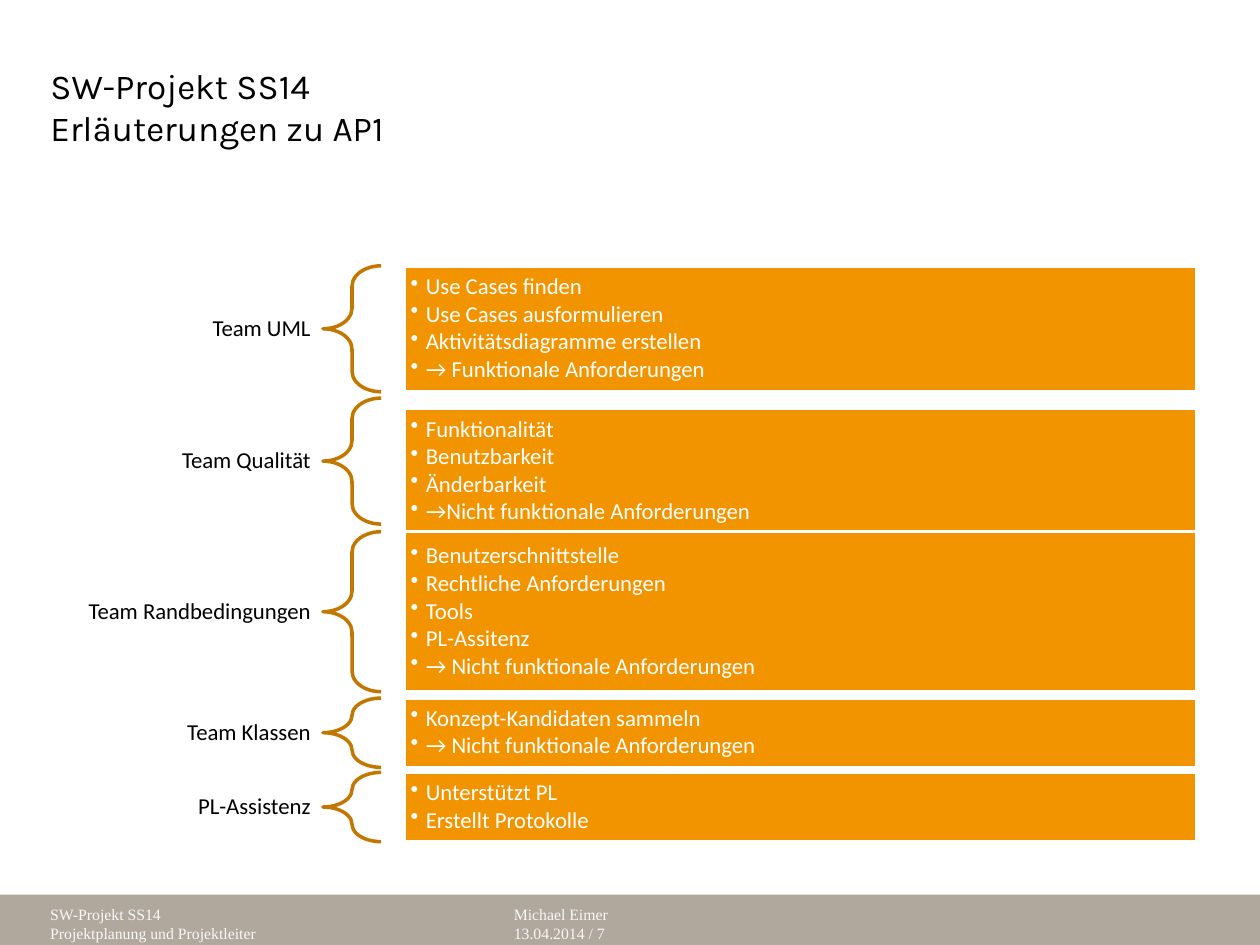
import pptx
import pptx.util
import pptx.dml.color
import pptx.enum.shapes
import pptx.enum.text
import pptx.oxml
import pptx.oxml.ns

Inches, Pt = pptx.util.Inches, pptx.util.Pt
Shape = pptx.enum.shapes.MSO_SHAPE
Align = pptx.enum.text.PP_ALIGN
Anchor = pptx.enum.text.MSO_ANCHOR

COLORS = {"text": "000000", "box": "F29400", "brace": "C27700",
          "bar": "B0A79D", "foot": "F8F8F8", "white": "FFFFFF"}

# label, top, height, tasks
TEAMS = [
    ("Team UML", 2.11, 1, 0, ["Use Cases finden", "Use Cases ausformulieren",
     "Aktivitätsdiagramme erstellen", "→ Funktionale Anforderungen"]),
    ("Team Qualität", 3.16, 1, 0.08, ["Funktionalität", "Benutzbarkeit",
     "Änderbarkeit", "→Nicht funktionale Anforderungen"]),
    ("Team Randbedingungen", 4.22, 1.27, 0, ["Benutzerschnittstelle",
     "Rechtliche Anforderungen", "Tools", "PL-Assitenz",
     "→ Nicht funktionale Anforderungen"]),
    ("Team Klassen", 5.54, 0.55, 0, ["Konzept-Kandidaten sammeln",
     "→ Nicht funktionale Anforderungen"]),
    ("PL-Assistenz", 6.13, 0.55, 0, ["Unterstützt PL", "Erstellt Protokolle"]),
]


def color(name):
    return pptx.dml.color.RGBColor.from_string(COLORS[name])


def add_shape(slide, kind, box, fill=None, line=None):
    shape = slide.shapes.add_shape(kind, *map(Inches, box))
    shape.shadow.inherit = False
    if fill:
        shape.fill.solid()
        shape.fill.fore_color.rgb = color(fill)
    else:
        shape.fill.background()
    if line:
        shape.line.color.rgb = color(line)
        shape.line.width = Pt(2)
    else:
        shape.line.fill.background()
    return shape


def set_text(frame, lines, font, size, tone, align=Align.LEFT,
             anchor=Anchor.TOP, inset=(0.1, 0.05), space=1, after=0):
    frame.word_wrap = True
    frame.auto_size = pptx.enum.text.MSO_AUTO_SIZE.NONE
    frame.vertical_anchor = anchor
    frame.margin_left = frame.margin_right = Inches(inset[0])
    frame.margin_top = frame.margin_bottom = Inches(inset[1])
    frame.text = "\n".join(lines)
    for para in frame.paragraphs:
        para.alignment = align
        para.line_spacing = space
        para.space_after = Pt(after)
        para.font.name = font
        para.font.size = Pt(size)
        para.font.color.rgb = color(tone)


def add_bullet(para, indent):
    props = para._p.get_or_add_pPr()
    props.set("marL", str(Inches(indent)))
    props.set("indent", str(-Inches(indent)))
    bullet = pptx.oxml.parse_xml(
        f'<a:buChar {pptx.oxml.ns.nsdecls("a")} char="•"/>')
    props.insert_element_before(bullet, "a:tabLst", "a:defRPr", "a:extLst")


def set_title(slide, box):
    title = slide.shapes.title
    title.left, title.top, title.width, title.height = map(Inches, box)
    set_text(title.text_frame, ["SW-Projekt SS14\vErläuterungen zu AP1"],
             "Karla", 20, "text")


def add_team(slide, box, label, tasks, shift):
    """Place label, brace and task box; shift lowers the task box."""
    left, top, width, height = box
    name_w, brace_w, gap = width * 0.25, width * 0.05, width * 0.02
    name = slide.shapes.add_textbox(*map(
        Inches, (left, top + height / 2 - 0.14, name_w, 0.28)))
    set_text(name.text_frame, [label], "Calibri", 13, "text", Align.RIGHT,
             Anchor.MIDDLE, (0.1, 0.04), 0.9)
    brace = add_shape(slide, Shape.LEFT_BRACE,
                      (left + name_w, top, brace_w, height), line="brace")
    brace.adjustments[0] = 0.35
    start = name_w + brace_w + gap
    panel = add_shape(slide, Shape.RECTANGLE,
                      (left + start, top + shift, width - start, height),
                      "box", "white")
    set_text(panel.text_frame, tasks, "Calibri", 13, "white",
             anchor=Anchor.MIDDLE, inset=(0.05, 0.05), space=0.9, after=1.7)
    for para in panel.text_frame.paragraphs:
        add_bullet(para, 0.12)


def add_footer(slide, box):
    left, top, width, height = box
    add_shape(slide, Shape.RECTANGLE, box, "bar")
    notes = [
        (0.03, 0.25, ["SW-Projekt SS14", "Projektplanung und Projektleiter"]),
        (0.398, 0.32, ["Michael Eimer", "13.04.2014 / 7"]),
    ]
    for start, share, lines in notes:
        note = slide.shapes.add_textbox(*map(
            Inches, (left + start * width, top + 0.02, share * width, 0.52)))
        set_text(note.text_frame, lines, "Times New Roman", 9, "foot",
                 space=1.05)


def main():
    deck = pptx.Presentation()
    deck.slide_width, deck.slide_height = Inches(10), Inches(7.5)
    slide = deck.slides.add_slide(deck.slide_layouts[5])
    add_footer(slide, (0, 7.1, 10, 0.4))
    set_title(slide, (0.3, 0.46, 6.49, 1.47))
    for label, top, height, shift, tasks in TEAMS:
        add_team(slide, (0.25, top, 9.25, height), label, tasks, shift)
    deck.save("out.pptx")


if __name__ == "__main__":
    main()
